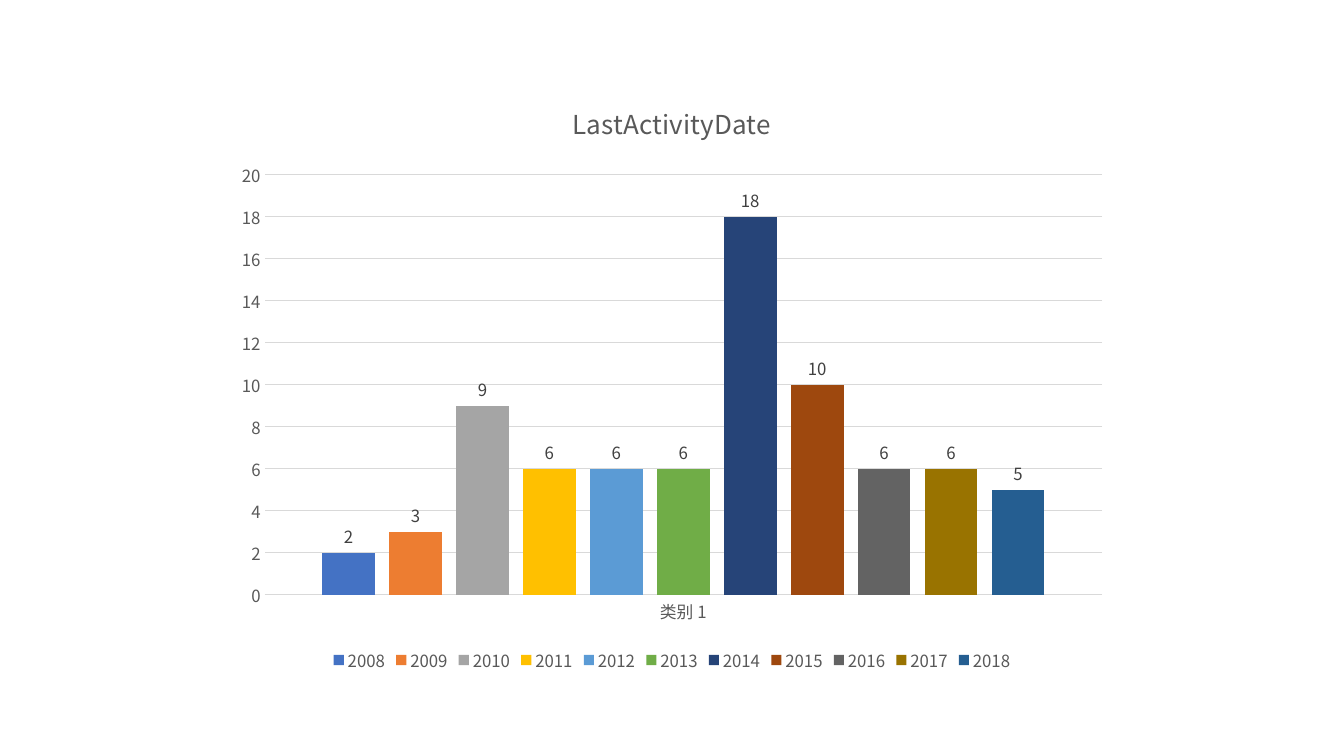
"""Build a slide with a column chart of last activity by year."""
from dataclasses import dataclass

from lxml.etree import Element
from pptx import Presentation
from pptx.chart.data import CategoryChartData
from pptx.dml.color import RGBColor
from pptx.enum.chart import XL_CHART_TYPE, XL_LABEL_POSITION
from pptx.enum.chart import XL_LEGEND_POSITION, XL_TICK_MARK
from pptx.oxml.ns import qn
from pptx.util import Inches, Pt

TITLE = "LastActivityDate"
GROUP = "类别 1"
YEARS = [
    ("2008", 2, "4472C4"),
    ("2009", 3, "ED7D31"),
    ("2010", 9, "A5A5A5"),
    ("2011", 6, "FFC000"),
    ("2012", 6, "5B9BD5"),
    ("2013", 6, "70AD47"),
    ("2014", 18, "264478"),
    ("2015", 10, "9E480E"),
    ("2016", 6, "636363"),
    ("2017", 6, "997300"),
    ("2018", 5, "255E91"),
]


@dataclass(frozen=True)
class Theme:
    """Hold the colours, type sizes and font."""
    face: str = "Noto Sans CJK SC"
    text: str = "595959"
    label: str = "404040"
    rule: str = "D9D9D9"
    head: float = 18.6
    body: float = 12
    thin: float = 0.75


THEME = Theme()


def style(font, size, tint):
    """Set the face, size and colour of a font."""
    font.name = THEME.face
    font.size = Pt(size)
    font.bold = False
    font.color.rgb = RGBColor.from_string(tint)


def draw(line):
    """Set a thin grey line."""
    line.width = Pt(THEME.thin)
    line.color.rgb = RGBColor.from_string(THEME.rule)


def add_years(slide, wide, high):
    """Add the chart, centred on the slide."""
    data = CategoryChartData()
    data.categories = [GROUP]
    for year, count, _ in YEARS:
        data.add_series(year, [count])
    width, height = wide * 2 // 3, int(high * 0.79)
    frame = slide.shapes.add_chart(
        XL_CHART_TYPE.COLUMN_CLUSTERED, (wide - width) // 2,
        (high - height) // 2, width, height, data)
    return frame.chart


def format_text(chart):
    """Format the title, legend and axes."""
    style(chart.font, THEME.body, THEME.text)
    title = chart.chart_title
    title.text_frame.text = TITLE
    title.include_in_layout = False
    style(title.text_frame.paragraphs[0].runs[0].font, THEME.head, THEME.text)

    chart.has_legend = True
    chart.legend.position = XL_LEGEND_POSITION.BOTTOM
    chart.legend.include_in_layout = False
    style(chart.legend.font, THEME.body, THEME.text)

    for axis in (chart.category_axis, chart.value_axis):
        axis.major_tick_mark = axis.minor_tick_mark = XL_TICK_MARK.NONE
        style(axis.tick_labels.font, THEME.body, THEME.text)
    draw(chart.category_axis.format.line)
    scale = chart.value_axis
    scale.minimum_scale, scale.maximum_scale, scale.major_unit = 0, 20, 2
    scale.format.line.fill.background()
    draw(scale.major_gridlines.format.line)


def format_bars(chart):
    """Format the columns and their labels."""
    plot = chart.plots[0]
    plot.gap_width, plot.overlap = 219, -27
    plot.vary_by_categories = False
    for bar, (_, _, tint) in zip(plot.series, YEARS):
        bar.invert_if_negative = False
        bar.format.fill.solid()
        bar.format.fill.fore_color.rgb = RGBColor.from_string(tint)
        labels = bar.data_labels
        labels.show_value = True
        labels.position = XL_LABEL_POSITION.OUTSIDE_END
        style(labels.font, THEME.body, THEME.label)


def main():
    """Build and save the deck."""
    deck = Presentation()
    deck.slide_width, deck.slide_height = Inches(13.33), Inches(7.5)
    slide = deck.slides.add_slide(deck.slide_layouts[6])
    chart = add_years(slide, deck.slide_width, deck.slide_height)
    format_text(chart)
    format_bars(chart)
    for latin in list(chart.element.iter(qn("a:latin"))):
        latin.addnext(Element(qn("a:ea"), typeface=THEME.face))
    deck.save("out.pptx")


if __name__ == "__main__":
    main()
